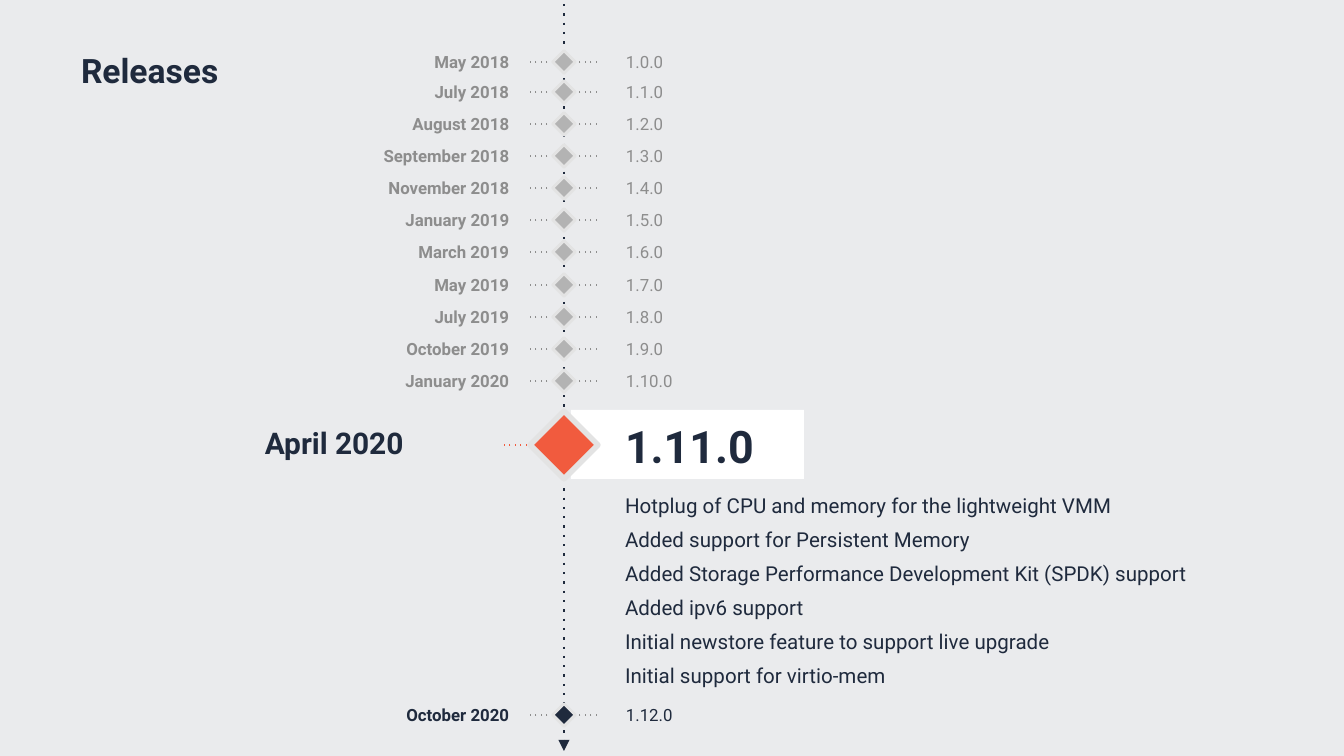
from dataclasses import dataclass

from lxml.etree import SubElement
from pptx import Presentation
from pptx.dml.color import RGBColor
from pptx.enum.shapes import MSO_CONNECTOR as Connector, MSO_SHAPE as Shape
from pptx.enum.text import MSO_ANCHOR as Anchor, PP_ALIGN as Align
from pptx.oxml.ns import qn
from pptx.slide import Slide
from pptx.util import Emu, Pt

EMU_PER_PX = 914400 / 134.4
FONT = "Roboto"
COLORS = {
    "background": "EAEBED",
    "navy": "1F2A3D",
    "orange": "F15B3E",
    "white": "FFFFFF",
    "muted_text": "8D8D8D",
    "muted_marker": "B3B3B3",
    "marker_edge": "E3E3E3",
}
AXIS_X = 564
CURRENT_Y = 445
LABEL_HEIGHT = 34
DATE_RIGHT = 514
VERSION_LEFT = 621


@dataclass(frozen=True)
class Release:
    date: str
    version: str
    date_width: int
    y: int
    text_color: str = "muted_text"
    marker_color: str = "muted_marker"
    version_width: int = 50


@dataclass(frozen=True)
class TextStyle:
    size: int
    color: str = "navy"
    bold: bool = False
    align: Align = Align.LEFT


PAST_RELEASES = [
    ("July 2018", "1.1.0", 85),
    ("August 2018", "1.2.0", 108),
    ("September 2018", "1.3.0", 137),
    ("November 2018", "1.4.0", 132),
    ("January 2019", "1.5.0", 115),
    ("March 2019", "1.6.0", 132),
    ("May 2019", "1.7.0", 125),
    ("July 2019", "1.8.0", 125),
    ("October 2019", "1.9.0", 125),
]
RELEASES = [
    Release("May 2018", "1.0.0", 86, 62),
    *(Release(*entry, y=92 + round(index * 32.1)) for index, entry in enumerate(PAST_RELEASES)),
    Release("January 2020", "1.10.0", 125, 381, version_width=60),
    Release("October 2020", "1.12.0", 125, 715, "navy", "navy", 67),
]
FEATURES = [
    "Hotplug of CPU and memory for the lightweight VMM",
    "Added support for Persistent Memory",
    "Added Storage Performance Development Kit (SPDK) support",
    "Added ipv6 support",
    "Initial newstore feature to support live upgrade",
    "Initial support for virtio-mem",
]


def px(*lengths: int) -> list[Emu]:
    return [Emu(round(length * EMU_PER_PX)) for length in lengths]


def color(name: str) -> RGBColor:
    return RGBColor.from_string(COLORS[name])


def style_paragraph(paragraph, text: str, style: TextStyle) -> None:
    paragraph.text = text
    paragraph.alignment = style.align
    paragraph.font.name = FONT
    paragraph.font.size = Pt(style.size)
    paragraph.font.bold = style.bold
    paragraph.font.color.rgb = color(style.color)


def add_text(slide: Slide, text: str, box: tuple, style: TextStyle,
             insets: tuple = (13, 13, 13, 13), anchor: Anchor = Anchor.TOP):
    """Add a text box; insets run left, top, right, bottom."""
    frame = slide.shapes.add_textbox(*px(*box)).text_frame
    frame.word_wrap = True
    frame.vertical_anchor = anchor
    (frame.margin_left, frame.margin_top,
     frame.margin_right, frame.margin_bottom) = px(*insets)
    style_paragraph(frame.paragraphs[0], text, style)
    return frame


def add_dotted_line(shapes, start: tuple, end: tuple, color_name: str,
                    width: float = 0.75, arrow: bool = False) -> None:
    connector = shapes.add_connector(Connector.STRAIGHT, *px(*start, *end))
    connector.line.color.rgb = color(color_name)
    connector.line.width = Pt(width)
    line = connector.get_or_add_ln()
    SubElement(line, qn("a:prstDash")).set("val", "dot")
    if arrow:
        SubElement(line, qn("a:tailEnd")).set("type", "triangle")
    SubElement(connector.element.spPr, qn("a:effectLst"))


def add_rectangle(shapes, box: tuple, fill: str):
    shape = shapes.add_shape(Shape.RECTANGLE, *px(*box))
    shape.shadow.inherit = False
    shape.fill.solid()
    shape.fill.fore_color.rgb = color(fill)
    shape.line.fill.background()
    return shape


def add_diamond(shapes, y: int, side: int, fill: str, edge: float) -> None:
    """Add a square turned by 45 degrees, centred on the time axis."""
    diamond = add_rectangle(shapes, (AXIS_X - side // 2, y - side // 2, side, side), fill)
    diamond.rotation = 45
    diamond.line.color.rgb = color("marker_edge")
    diamond.line.width = Pt(edge)


def add_release(slide: Slide, release: Release) -> None:
    top = release.y - LABEL_HEIGHT // 2
    insets = (5, 7, 5, 7)
    add_text(slide, release.version,
             (VERSION_LEFT, top, release.version_width, LABEL_HEIGHT),
             TextStyle(9, release.text_color), insets)
    add_text(slide, release.date,
             (DATE_RIGHT - release.date_width, top, release.date_width, LABEL_HEIGHT),
             TextStyle(9, release.text_color, True, Align.RIGHT), insets)
    marker = slide.shapes.add_group_shape().shapes
    add_dotted_line(marker, (597, release.y), (530, release.y), "muted_text")
    add_diamond(marker, release.y, 16, release.marker_color, 1.5)


def add_current_release(slide: Slide) -> None:
    add_dotted_line(slide.shapes, (571, CURRENT_Y), (504, CURRENT_Y), "orange")
    add_rectangle(slide.shapes, (571, 410, 233, 69), "white")
    frame = add_text(slide, "1.11.0", (612, 406, 606, 331), TextStyle(24, bold=True))
    for index, feature in enumerate(FEATURES):
        paragraph = frame.add_paragraph()
        style_paragraph(paragraph, feature, TextStyle(11))
        paragraph.space_before = Pt(5 if index else 11)
    add_text(slide, "April 2020", (238, 404, 280, 77), TextStyle(16, bold=True),
             (27, 13, 13, 13), Anchor.MIDDLE)
    add_diamond(slide.shapes, CURRENT_Y, 48, "orange", 3)


def main() -> None:
    presentation = Presentation()
    presentation.slide_width, presentation.slide_height = px(1344, 756)
    slide = presentation.slides.add_slide(presentation.slide_layouts[6])
    slide.background.fill.solid()
    slide.background.fill.fore_color.rgb = color("background")

    add_dotted_line(slide.shapes, (AXIS_X, 4), (AXIS_X, 751), "navy", 1.25, arrow=True)
    add_text(slide, "Releases", (68, 14, 301, 113), TextStyle(18, bold=True),
             anchor=Anchor.MIDDLE)
    add_current_release(slide)
    for release in RELEASES:
        add_release(slide, release)
    presentation.save("out.pptx")


if __name__ == "__main__":
    main()
